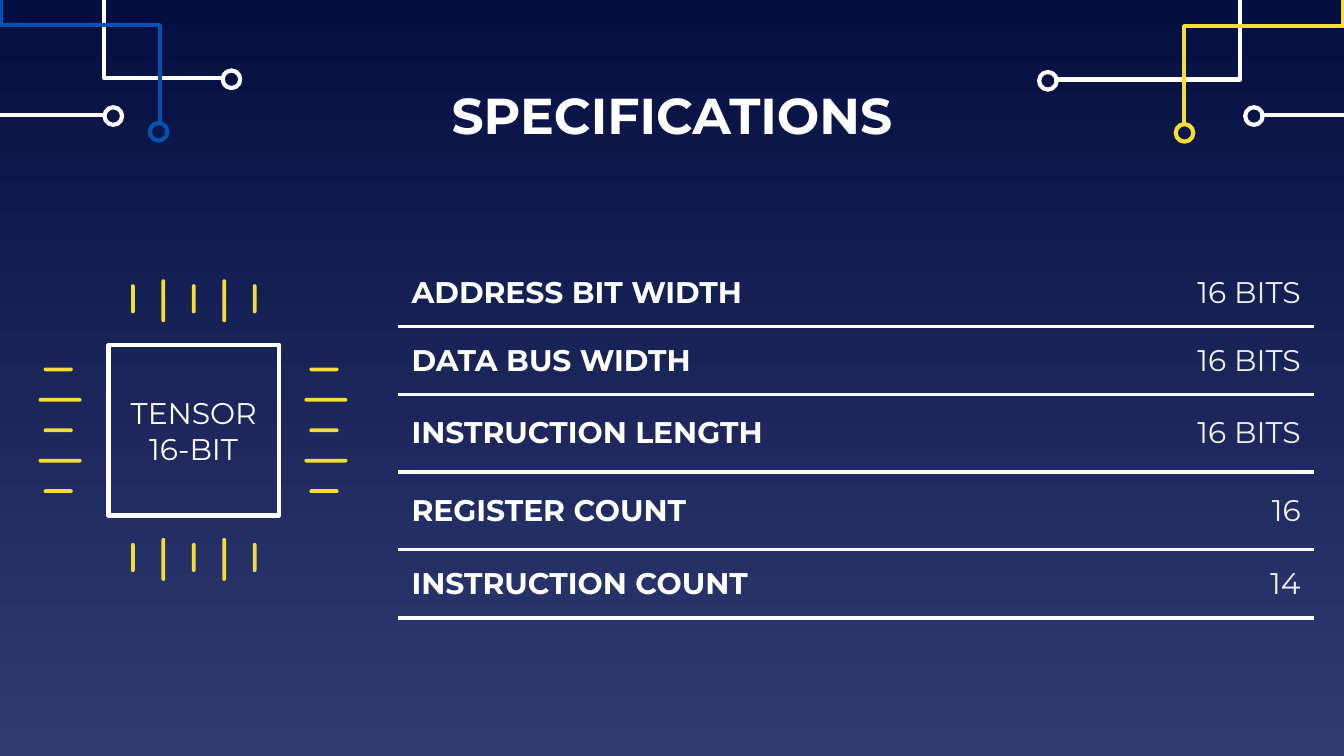
from lxml.etree import SubElement as Sub
from pptx import Presentation
from pptx.dml.color import RGBColor
from pptx.enum.shapes import MSO_SHAPE as Kind
from pptx.enum.text import MSO_ANCHOR as Anchor, PP_ALIGN as Align
from pptx.oxml.ns import qn
from pptx.util import Pt

WHITE = RGBColor(0xFF, 0xFF, 0xFF)
PALE = RGBColor(0xEF, 0xEF, 0xEF)
GOLD = RGBColor(0xF5, 0xDE, 0x34)
BLUE = RGBColor(0x01, 0x52, 0xB1)
NIGHT = RGBColor(0x04, 0x0E, 0x41)
DUSK = RGBColor(0x30, 0x3B, 0x72)

PLAIN = "{2D5ABB26-0587-4C30-8999-92F81FD0307C}"
TRACES = [
    (WHITE, (561.4, 43.3), [(564.5, 42.6), (664.4, 42.6), (664.4, -36.7)]),
    (GOLD, (634.6, 71.2), [(634.4, 66.8), (634.4, 14), (719.3, 14), (719.3, -36.7)]),
    (WHITE, (124, 42.5), [(120, 41.9), (55.7, 41.9), (55.7, -37.4)]),
    (BLUE, (85, 70.6), [(85.6, 66.6), (85.6, 13.5), (0.6, 13.5), (0.6, -37.4)]),
    (WHITE, (671.8, 62.2), [(675.2, 61.8), (775.4, 61.8), (775.4, -17.3)]),
    (WHITE, (60.7, 62.2), [(56.8, 61.8), (-7.9, 61.8), (-7.9, -17.3)]),
]
ROWS = [
    ("ADDRESS BIT WIDTH", "16 BITS", 36.5),
    ("DATA BUS WIDTH", "16 BITS", 36.5),
    ("INSTRUCTION LENGTH", "16 BITS", 41.5),
    ("REGISTER COUNT", "16", 41.5),
    ("INSTRUCTION COUNT", "14", 36.8),
]


class Deck:
    """Holds the style and the current slide, and draws each kind of element."""

    font = "Montserrat"
    line = 2.25
    inset = 7.2

    def __init__(self, wide, high):
        self.file = Presentation()
        self.file.slide_width, self.file.slide_height = Pt(wide), Pt(high)
        self.slide = self.file.slides.add_slide(self.file.slide_layouts[5])
        self.shapes = self.slide.shapes

    def ground(self, top, base):
        fill = self.slide.background.fill
        fill.gradient()
        fill.gradient_angle = 270
        for stop, color, place in zip(fill.gradient_stops, (top, base), (0, 1)):
            stop.color.rgb, stop.position = color, place

    def text(self, frame, words, size, color, align, bold=False):
        frame.text = words
        frame.word_wrap = True
        frame.vertical_anchor = Anchor.MIDDLE
        frame.margin_left = frame.margin_right = Pt(self.inset)
        frame.margin_top = frame.margin_bottom = Pt(self.inset)
        self.style(frame, size, color, align, bold)

    def style(self, frame, size, color, align, bold):
        for para in frame.paragraphs:
            para.alignment = align
            for run in para.runs:
                font = run.font
                font.name, font.size, font.bold = self.font, Pt(size), bold
                font.color.rgb = color

    def title(self, words, left, top, wide, high):
        head = self.shapes.title
        head.left, head.top = Pt(left), Pt(top)
        head.width, head.height = Pt(wide), Pt(high)
        self.text(head.text_frame, words, 27, WHITE, Align.CENTER, True)

    def stroke(self, shape, color):
        shape.shadow.inherit = False
        shape.fill.background()
        shape.line.color.rgb = color
        shape.line.width = Pt(self.line)

    def block(self, kind, mid, wide, high):
        x, y = mid
        return self.shapes.add_shape(
            kind, Pt(x - wide / 2), Pt(y - high / 2), Pt(wide), Pt(high))

    def trace(self, color, node, path):
        first, *rest = [(Pt(x), Pt(y)) for x, y in path]
        pen = self.shapes.build_freeform(*first)
        pen.add_line_segments(rest, close=False)
        self.stroke(pen.convert_to_shape(), color)
        self.stroke(self.block(Kind.OVAL, node, 9.4, 9.4), color)

    def pin(self, mid, wide, high):
        bar = self.block(Kind.ROUNDED_RECTANGLE, mid, wide, high)
        bar.adjustments[0] = 0.5
        bar.shadow.inherit = False
        bar.fill.solid()
        bar.fill.fore_color.rgb = GOLD
        bar.line.fill.background()

    def chip(self, words, mid, side):
        box = self.block(Kind.RECTANGLE, mid, side, side)
        self.stroke(box, WHITE)
        self.text(box.text_frame, words, 16, WHITE, Align.CENTER)
        x, y = mid
        for step in range(-2, 3):
            size, back = (23, 0) if step % 2 else (15.6, 1)
            shift = 16.3 * step
            for reach in (-71.6, 70.8):
                self.pin((x + reach - back, y + shift), size, 2)
            for reach in (-69.4, 69.2):
                self.pin((x + shift, y + reach - back), 2, size)

    def rule(self, cell):
        cell.fill.background()
        props = cell._tc.get_or_add_tcPr()
        edge = Sub(props, qn("a:lnB"), w=str(Pt(self.line)))
        paint = Sub(edge, qn("a:solidFill"))
        Sub(paint, qn("a:srgbClr"), val=str(WHITE))
        props.insert(0, edge)

    def table(self, rows, left, top, cols):
        high = sum(row[-1] for row in rows)
        frame = self.shapes.add_table(
            len(rows), len(cols), Pt(left), Pt(top), Pt(sum(cols)), Pt(high))
        grid = frame.table
        grid.first_row = grid.horz_banding = False
        frame.element.find(".//" + qn("a:tableStyleId")).text = PLAIN
        for col, wide in zip(grid.columns, cols):
            col.width = Pt(wide)
        for row, (name, value, tall) in zip(grid.rows, rows):
            row.height = Pt(tall)
            looks = [(name, WHITE, Align.LEFT, True),
                     (value, PALE, Align.RIGHT, False)]
            for cell, (words, color, align, bold) in zip(row.cells, looks):
                self.fill(cell, words, color, align, bold)

    def fill(self, cell, words, color, align, bold):
        cell.text_frame.text = words
        cell.vertical_anchor = Anchor.MIDDLE
        cell.margin_left = cell.margin_right = Pt(self.inset)
        cell.margin_top = cell.margin_bottom = Pt(self.inset)
        self.style(cell.text_frame, 16, color, align, bold)
        self.rule(cell)


def main():
    deck = Deck(720, 405)
    deck.ground(NIGHT, DUSK)
    for color, node, path in TRACES:
        deck.trace(color, node, path)
    deck.title("SPECIFICATIONS", 139.7, 42.5, 440.6, 37.4)
    deck.table(ROWS, 213.3, 138.4, (212, 278.7))
    deck.chip("TENSOR\n16-BIT", (103.8, 230.5), 91.4)
    deck.file.save("out.pptx")


if __name__ == "__main__":
    main()
